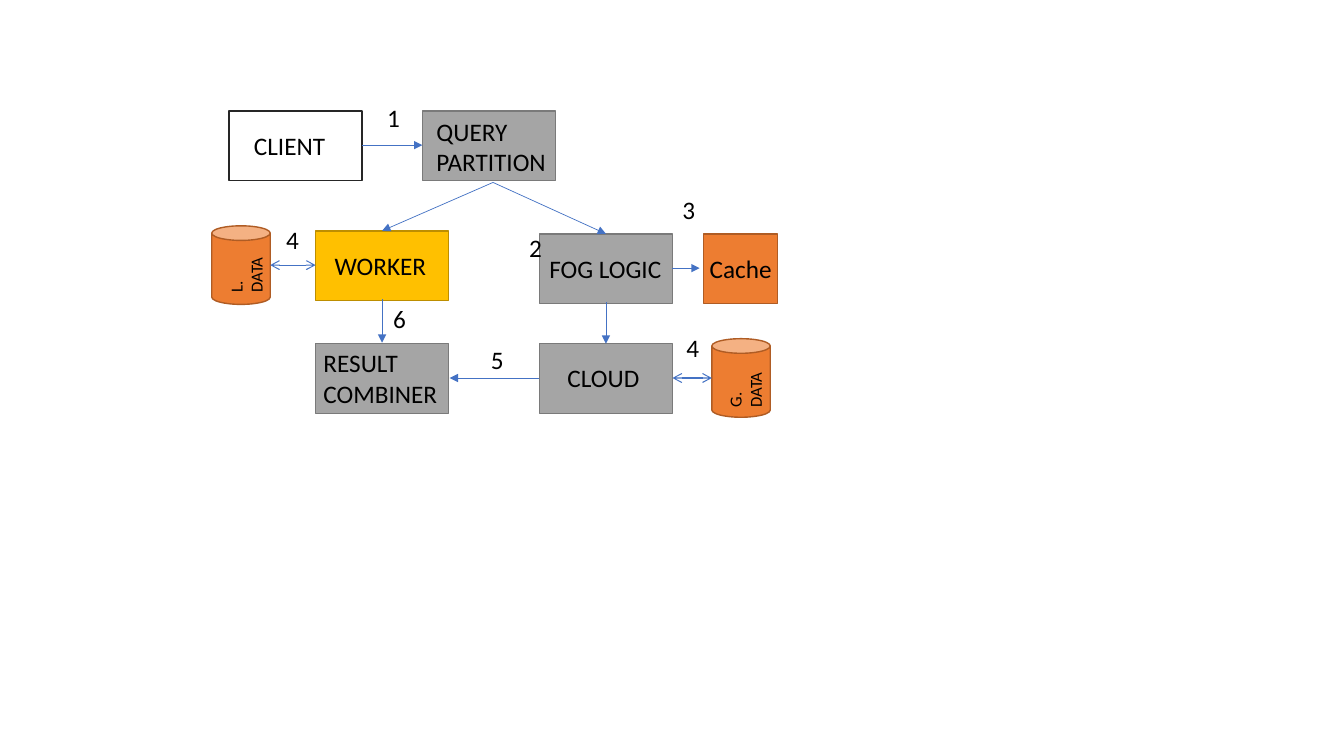
from lxml.etree import SubElement
from pptx import Presentation
from pptx.dml.color import RGBColor
from pptx.enum.shapes import MSO_CONNECTOR, MSO_SHAPE
from pptx.enum.text import MSO_AUTO_SIZE as AutoSize
from pptx.oxml.ns import qn
from pptx.util import Inches, Pt

BLACK = RGBColor(0x00, 0x00, 0x00)
DARK = RGBColor(0x26, 0x26, 0x26)
GRAY, GRAY_EDGE = RGBColor(0xA5, 0xA5, 0xA5), RGBColor(0x7A, 0x7A, 0x7A)
GOLD, GOLD_EDGE = RGBColor(0xFF, 0xC0, 0x00), RGBColor(0xBD, 0x8E, 0x00)
ORANGE, ORANGE_EDGE = RGBColor(0xED, 0x7D, 0x31), RGBColor(0xAF, 0x5C, 0x24)
BLUE = RGBColor(0x44, 0x72, 0xC4)

NODE_WIDTH, NODE_HEIGHT = 1.32, 0.69
CAN_WIDTH, CAN_HEIGHT = 0.58, 0.78

# Left, top, width, fill, edge
NODES = [
    (2.27, 1.1, NODE_WIDTH, None, DARK),
    (4.19, 1.1, NODE_WIDTH, GRAY, GRAY_EDGE),
    (5.35, 2.32, NODE_WIDTH, GRAY, GRAY_EDGE),
    (3.13, 2.29, NODE_WIDTH, GOLD, GOLD_EDGE),
    (6.98, 2.32, 0.73, ORANGE, ORANGE_EDGE),
    (5.35, 3.41, NODE_WIDTH, GRAY, GRAY_EDGE),
    (3.13, 3.41, NODE_WIDTH, GRAY, GRAY_EDGE),
]
DATA_CANS = [(2.1, 2.24), (7.06, 3.36)]

# Text, left, top, width, height
NODE_LABELS = [
    ("CLIENT", 2.42, 1.24, 1.02, 0.4),
    ("WORKER", 3.22, 2.43, 1.23, 0.4),
    ("CLOUD", 5.53, 3.55, 1.02, 0.4),
    ("FOG LOGIC", 5.35, 2.46, 1.34, 0.4),
    ("QUERY PARTITION", 4.23, 1.1, 1.32, 0.71),
    ("RESULT COMBINER", 3.11, 3.4, 1.35, 0.71),
    ("Cache", 6.94, 2.46, 0.88, 0.4),
]
DATA_LABELS = [
    ("L. DATA", 2.19, 2.38, 0.4, 0.62),
    ("G. DATA", 7.14, 3.43, 0.4, 0.71),
]

# Start x, start y, end x, end y
FLOWS = [
    (3.59, 1.44, 4.19, 1.44),
    (4.89, 1.81, 6.01, 2.32),
    (4.89, 1.81, 3.79, 2.29),
    (6.01, 3, 6.01, 3.41),
    (3.79, 2.97, 3.79, 3.4),
    (5.35, 3.75, 4.46, 3.75),
    (6.67, 2.66, 6.94, 2.66),
]
DATA_LINKS = [(6.67, 3.75, 7.06, 3.75), (3.13, 2.63, 2.68, 2.63)]

# Text, left, top
STEPS = [
    ("1", 3.74, 0.97), ("6", 3.8, 2.96), ("5", 4.77, 3.37), ("2", 5.15, 2.26),
    ("4", 6.71, 3.25), ("3", 6.67, 1.88), ("4", 2.74, 2.18),
]


def apply_format(target, values):
    for name, value in values.items():
        setattr(target, name, value)


def add_block(page, kind, left, top, width, height, fill, edge):
    block = page.shapes.add_shape(
        kind, Inches(left), Inches(top), Inches(width), Inches(height))
    block.shadow.inherit = False
    if fill is None:
        block.fill.background()
    else:
        block.fill.solid()
        block.fill.fore_color.rgb = fill
    block.line.color.rgb = edge
    block.line.width = Pt(1)


def add_label(page, text, left, top, width, height, size=18, vertical=False):
    box = page.shapes.add_textbox(
        Inches(left), Inches(top), Inches(width), Inches(height))
    frame = box.text_frame
    apply_format(frame, {"word_wrap": True,
                         "auto_size": AutoSize.SHAPE_TO_FIT_TEXT})
    if vertical:
        frame._txBody.bodyPr.set("vert", "vert270")
    span = frame.paragraphs[0].add_run()
    span.text = text
    apply_format(span.font, {"name": "Calibri", "size": Pt(size)})
    span.font.color.rgb = BLACK


def add_arrow(page, ends, width, heads):
    arrow = page.shapes.add_connector(
        MSO_CONNECTOR.STRAIGHT, *(Inches(value) for value in ends))
    arrow.line.color.rgb = BLUE
    arrow.line.width = Pt(width)
    outline = arrow.line._get_or_add_ln()
    for tag, style in heads.items():
        SubElement(outline, qn(tag), type=style)
    SubElement(arrow._element.spPr, qn("a:effectLst"))


def main():
    deck = Presentation()
    apply_format(deck, {"slide_width": Inches(13.33),
                        "slide_height": Inches(7.5)})
    page = deck.slides.add_slide(deck.slide_layouts[6])

    # Processing nodes and data stores
    for left, top, width, fill, edge in NODES:
        add_block(page, MSO_SHAPE.RECTANGLE, left, top, width, NODE_HEIGHT,
                  fill, edge)
    for left, top in DATA_CANS:
        add_block(page, MSO_SHAPE.CAN, left, top, CAN_WIDTH, CAN_HEIGHT,
                  ORANGE, ORANGE_EDGE)

    # Names
    for label in NODE_LABELS:
        add_label(page, *label)
    for label in DATA_LABELS:
        add_label(page, *label, size=12, vertical=True)

    # Arrows
    for ends in FLOWS:
        add_arrow(page, ends, 0.5, {"a:tailEnd": "triangle"})
    for ends in DATA_LINKS:
        add_arrow(page, ends, 0.75,
                  {"a:headEnd": "arrow", "a:tailEnd": "arrow"})

    # Step numbers
    for text, left, top in STEPS:
        add_label(page, text, left, top, 0.25, 0.4)

    deck.save("out.pptx")


if __name__ == "__main__":
    main()
